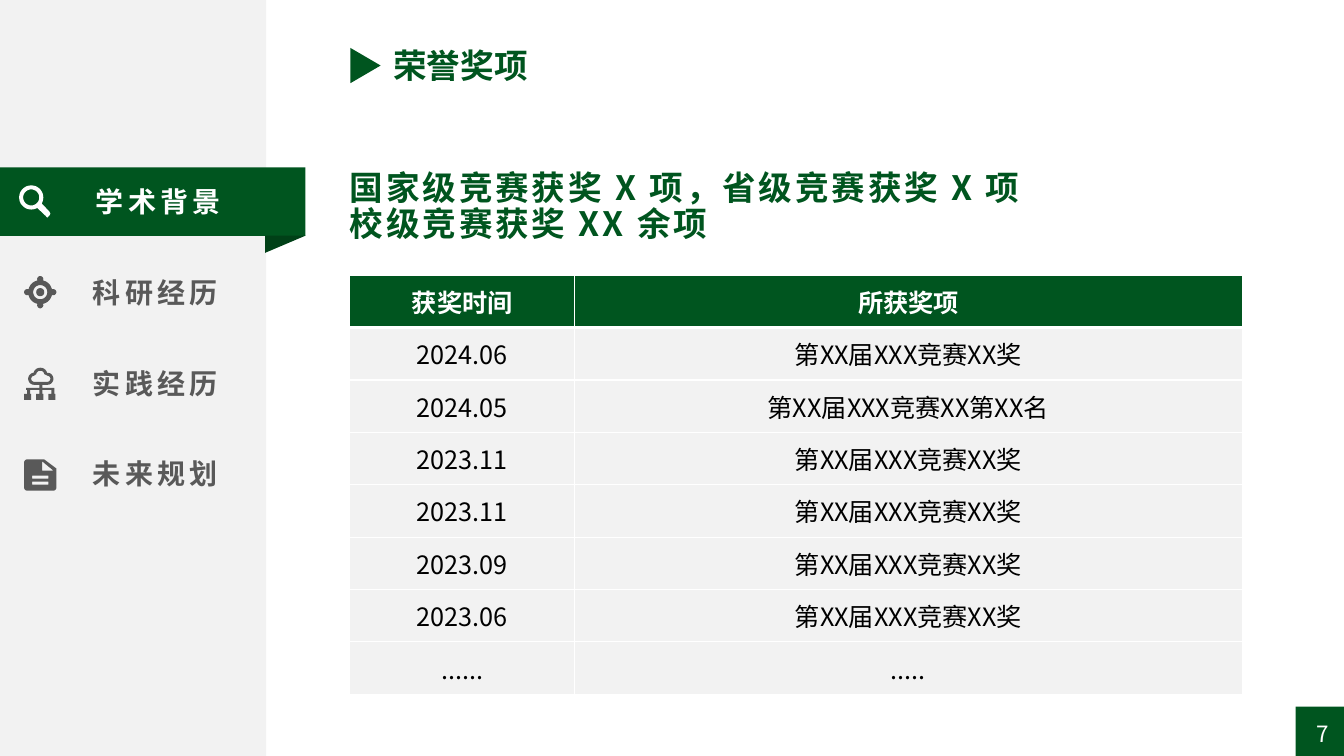
from dataclasses import dataclass
from math import cos, radians, sin

from lxml import etree
from pptx import Presentation
from pptx.dml.color import RGBColor
from pptx.enum import shapes, text
from pptx.oxml import ns
from pptx.util import Inches, Pt


@dataclass(frozen=True)
class Theme:
    font: str = "Noto Sans CJK SC"
    green: str = "00551F"
    dark: str = "004017"
    pale: str = "F2F2F2"
    gray: str = "595959"
    white: str = "FFFFFF"
    black: str = "000000"
    head: int = 24
    menu: int = 20
    cell: int = 18
    page: int = 16


THEME = Theme()
ALIGN = text.PP_ALIGN
ANCHOR = text.MSO_ANCHOR
MENU = ["学术背景", "科研经历", "实践经历", "未来规划"]
AWARD = "第XX届XXX竞赛XX奖"
ROWS = [
    ("获奖时间", "所获奖项"),
    ("2024.06", AWARD),
    ("2024.05", "第XX届XXX竞赛XX第XX名"),
    ("2023.11", AWARD),
    ("2023.11", AWARD),
    ("2023.09", AWARD),
    ("2023.06", AWARD),
    ("......", "....."),
]


def paint(shape, color):
    shape.shadow.inherit = False
    shape.fill.solid()
    shape.fill.fore_color.rgb = RGBColor.from_string(color)
    shape.line.fill.background()


def block(slide, kind, box, color):
    shape = slide.shapes.add_shape(kind, *map(Inches, box))
    paint(shape, color)
    return shape


def outline(slide, loops, color):
    mils = [[(round(x * 1000), round(y * 1000)) for x, y in loop] for loop in loops]
    pen = slide.shapes.build_freeform(*mils[0][0], scale=Inches(0.001))
    pen.add_line_segments(mils[0][1:], close=True)
    for loop in mils[1:]:
        pen.move_to(*loop[0])
        pen.add_line_segments(loop[1:], close=True)
    paint(pen.convert_to_shape(), color)


def write(frame, lines, size, color, bold=False, align=ALIGN.LEFT, gap=0, lead=1.0):
    frame.text = "\n".join(lines)
    for para in frame.paragraphs:
        para.alignment = align
        para.line_spacing = lead
        para.space_before = Pt(0)
        props = para._p.get_or_add_pPr()
        props.set("marL", "0")
        props.set("indent", "0")
        etree.SubElement(props, ns.qn("a:buNone"))
        font = para.font
        font.name = THEME.font
        font.size = Pt(size)
        font.bold = bold
        font.color.rgb = RGBColor.from_string(color)
        base = props.find(ns.qn("a:defRPr"))
        etree.SubElement(base, ns.qn("a:ea"), typeface=THEME.font)
        if gap:
            base.set("spc", str(gap * 100))


def label(slide, box, line, size, color, **style):
    frame = slide.shapes.add_textbox(*map(Inches, box)).text_frame
    frame.word_wrap = False
    frame.vertical_anchor = ANCHOR.MIDDLE
    write(frame, [line], size, color, **style)


def place(holder, box, anchor):
    holder.left, holder.top, holder.width, holder.height = map(Inches, box)
    frame = holder.text_frame
    frame.auto_size = text.MSO_AUTO_SIZE.NONE
    frame.vertical_anchor = anchor
    return frame


def arc(x, y, r, start=0, end=360):
    steps = max(4, round((end - start) / 10))
    turns = [radians(start + (end - start) * i / steps) for i in range(steps + 1)]
    return [(x + r * cos(a), y + r * sin(a)) for a in turns]


def rect(x, y, w, h):
    return [(x, y), (x + w, y), (x + w, y + h), (x, y + h)]


def lens():
    grip = [(0.49, 2.1), (0.5, 2.12), (0.49, 2.14), (0.47, 2.16), (0.45, 2.14)]
    return [arc(0.31, 1.96, 0.12, 60, 390) + grip, arc(0.31, 1.96, 0.08)]


def target():
    x, y = 0.4, 2.9
    rim = []
    for turn in range(0, 360, 90):
        tip = radians(turn)
        rim += arc(x + 0.13 * cos(tip), y + 0.13 * sin(tip), 0.03, turn - 90, turn + 90)
        rim += arc(x, y, 0.12, turn + 14, turn + 76)
    return [rim, arc(x, y, 0.07), arc(x, y, 0.04)]


def puff(inset):
    side, top = 0.06 - inset, 0.07 - inset
    return (arc(0.34, 3.76, side, 90, 265) + arc(0.4, 3.72, top, 190, 350)
            + arc(0.47, 3.76, side, -85, 90))


def cloud():
    loops = [puff(0), puff(0.03), rect(0.39, 3.82, 0.03, 0.03), rect(0.26, 3.85, 0.28, 0.02)]
    for x in (0.28, 0.4, 0.52):
        loops += [rect(x - 0.01, 3.87, 0.03, 0.04), rect(x - 0.04, 3.91, 0.07, 0.06)]
    return loops


def paper():
    edge = [(0.44, 4.56), (0.56, 4.65)]
    edge += arc(0.53, 4.84, 0.03, 0, 90) + arc(0.27, 4.84, 0.03, 90, 180)
    edge += arc(0.27, 4.59, 0.03, 180, 270)
    fold = [(0.42, 4.58), (0.53, 4.67), (0.42, 4.67)]
    return [edge, fold, rect(0.32, 4.72, 0.16, 0.03), rect(0.32, 4.78, 0.16, 0.03)]


def sidebar(slide):
    kind = shapes.MSO_SHAPE.RECTANGLE
    block(slide, kind, (0, 0, 2.64, 7.5), THEME.pale)
    block(slide, kind, (0, 1.66, 3.03, 0.68), THEME.green)
    outline(slide, [[(2.63, 2.34), (3.03, 2.34), (2.63, 2.51)]], THEME.dark)
    for i, (name, icon) in enumerate(zip(MENU, (lens, target, cloud, paper))):
        color = THEME.gray if i else THEME.white
        left = 0.8 if i else 0.83
        label(slide, (left, 1.78 + 0.9 * i, 1.48, 0.44), name, THEME.menu, color,
              bold=True, align=ALIGN.CENTER, gap=3)
        outline(slide, icon(), color)


def border(cell, widths):
    props = cell._tc.get_or_add_tcPr()
    for side, width in zip("LRTB", widths):
        line = etree.SubElement(props, ns.qn(f"a:ln{side}"), w=str(Pt(width)))
        fill = etree.SubElement(line, ns.qn("a:solidFill"))
        etree.SubElement(fill, ns.qn("a:srgbClr"), val=THEME.white)


def awards(slide):
    box = map(Inches, (3.47, 2.73, 8.85, 4.16))
    grid = slide.shapes.add_table(len(ROWS), 2, *box).table
    for col, width in zip(grid.columns, (2.23, 6.62)):
        col.width = Inches(width)
    for r, row in enumerate(ROWS):
        grid.rows[r].height = Inches(0.52)
        head = r == 0
        for c, value in enumerate(row):
            cell = grid.cell(r, c)
            border(cell, (1, 1, 3 if r == 1 else 1, 3 if head else 1))
            cell.fill.solid()
            cell.fill.fore_color.rgb = RGBColor.from_string(THEME.green if head else THEME.pale)
            cell.vertical_anchor = ANCHOR.MIDDLE
            write(cell.text_frame, [value], THEME.cell, THEME.white if head else THEME.black,
                  bold=head, align=ALIGN.CENTER)


def heading(slide):
    mark = block(slide, shapes.MSO_SHAPE.ISOSCELES_TRIANGLE, (3.45, 0.5, 0.35, 0.3), THEME.green)
    mark.rotation = 90
    frame = place(slide.shapes.title, (3.8, 0.4, 3, 0.5), ANCHOR.TOP)
    write(frame, ["荣誉奖项"], THEME.head, THEME.green, bold=True)


def summary(slide):
    frame = place(slide.placeholders[1], (3.47, 1.56, 8.97, 1), ANCHOR.MIDDLE)
    frame.margin_left = frame.margin_right = frame.margin_top = frame.margin_bottom = 0
    lines = ["国家级竞赛获奖 X 项，省级竞赛获奖 X 项", "校级竞赛获奖 XX 余项"]
    write(frame, lines, THEME.head, THEME.green, bold=True, gap=2, lead=0.9)


def main():
    deck = Presentation()
    deck.slide_width, deck.slide_height = Inches(13.33), Inches(7.5)
    slide = deck.slides.add_slide(deck.slide_layouts[1])
    sidebar(slide)
    heading(slide)
    summary(slide)
    awards(slide)
    block(slide, shapes.MSO_SHAPE.RECTANGLE, (12.85, 7.01, 0.49, 0.49), THEME.green)
    label(slide, (10.28, 7.08, 3, 0.4), "7", THEME.page, THEME.white, align=ALIGN.RIGHT)
    deck.save("out.pptx")


if __name__ == "__main__":
    main()
